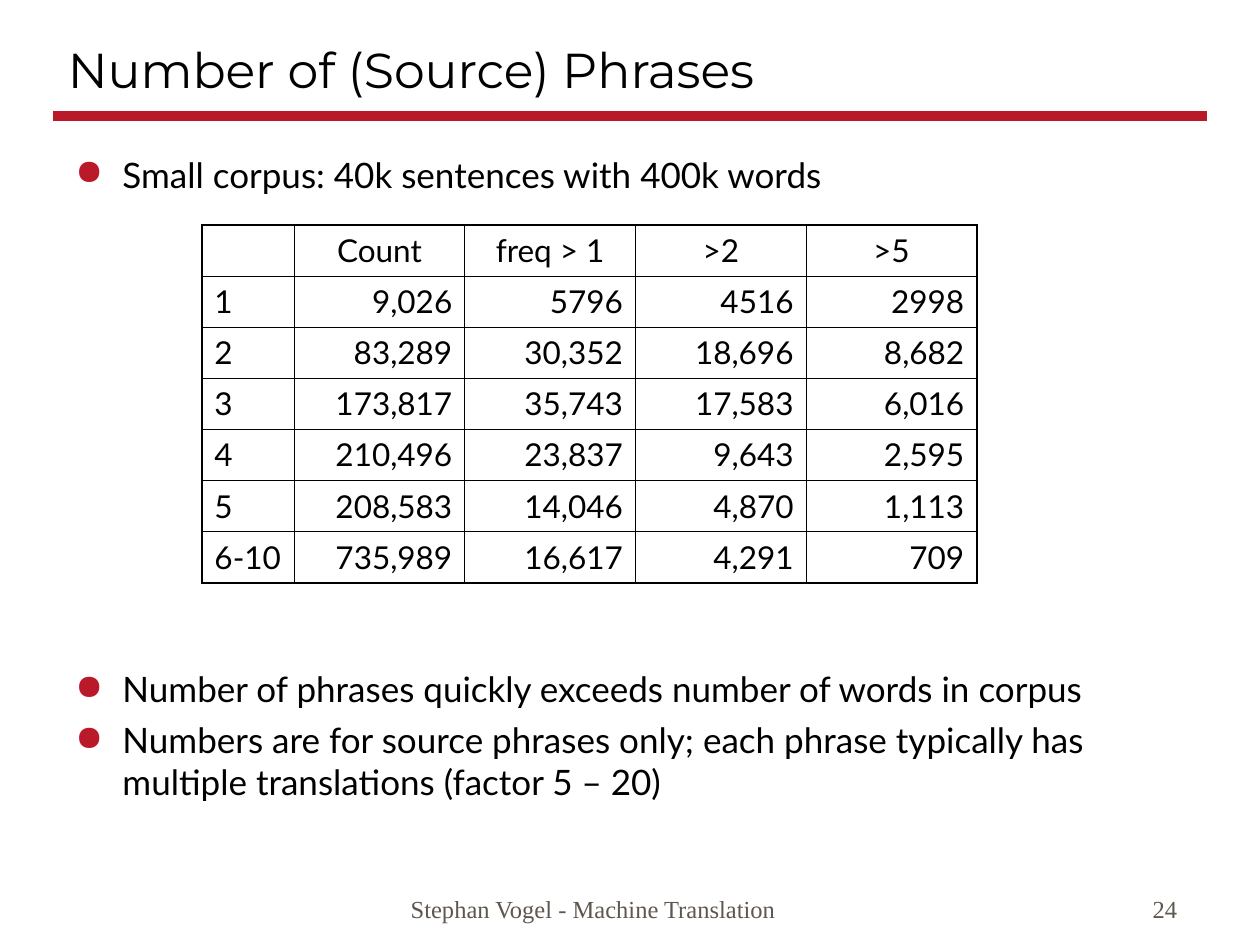
from lxml.etree import SubElement
from pptx import Presentation
from pptx.dml.color import RGBColor
from pptx.enum.shapes import MSO_CONNECTOR as Connector
from pptx.enum.text import MSO_ANCHOR as Anchor, PP_ALIGN as Align
from pptx.oxml.ns import qn
from pptx.util import Cm, Pt

BLACK, RED, GREY = "000000", "B91928", "5E574E"


def color(value):
    return RGBColor.from_string(value)


class SlideBuilder:
    title_font, body_font, footer_font = "Montserrat", "Lato", "Times New Roman"
    bullet_indent = 0.95
    thick, thin = 1.08, 0.45

    def __init__(self, slide):
        self.slide = slide

    def style(self, paragraph, font, size, ink=BLACK, align=Align.LEFT):
        paragraph.alignment = align
        paragraph.font.name = font
        paragraph.font.size = Pt(size)
        paragraph.font.color.rgb = color(ink)

    def frame(self, left, top, width, height, anchor):
        box = self.slide.shapes.add_textbox(Cm(left), Cm(top), Cm(width), Cm(height))
        box.text_frame.word_wrap = True
        box.text_frame.vertical_anchor = anchor
        return box.text_frame

    def label(self, text, place, font, size, ink=BLACK, align=Align.LEFT):
        paragraph = self.frame(*place, Anchor.BOTTOM).paragraphs[0]
        paragraph.text = text
        self.style(paragraph, font, size, ink, align)

    def bullets(self, items, place):
        body = self.frame(*place, Anchor.TOP)
        for index, item in enumerate(items):
            paragraph = body.add_paragraph() if index else body.paragraphs[0]
            paragraph.text = item
            if index:
                paragraph.space_before = Pt(5)
            props = paragraph._p.get_or_add_pPr()
            props.set("marL", str(Cm(self.bullet_indent)))
            props.set("indent", str(-Cm(self.bullet_indent)))
            SubElement(SubElement(props, qn("a:buClr")), qn("a:srgbClr"), val=RED)
            SubElement(props, qn("a:buChar"), char="●")
            self.style(paragraph, self.body_font, 20)

    def rule(self, left, right, y, width, ink):
        line = self.slide.shapes.add_connector(
            Connector.STRAIGHT, Cm(left), Cm(y), Cm(right), Cm(y))
        line.line.color.rgb = color(ink)
        line.line.width = Pt(width)
        SubElement(line._element.spPr, qn("a:effectLst"))

    def borders(self, cell, outer_sides):
        props = cell._tc.get_or_add_tcPr()
        for side in "LRTB":
            width = self.thick if side in outer_sides else self.thin
            edge = SubElement(props, qn(f"a:ln{side}"), w=str(Pt(width)))
            SubElement(SubElement(edge, qn("a:solidFill")), qn("a:srgbClr"), val=BLACK)

    def table(self, rows, left, top, widths, row_height):
        grid = self.slide.shapes.add_table(
            len(rows), len(widths), Cm(left), Cm(top),
            Cm(sum(widths)), Cm(row_height * len(rows))).table
        grid.first_row = grid.horz_banding = False
        for column, width in zip(grid.columns, widths):
            column.width = Cm(width)
        last_row, last_column = len(rows) - 1, len(widths) - 1
        for r, values in enumerate(rows):
            grid.rows[r].height = Cm(row_height)
            for c, value in enumerate(values):
                cell = grid.cell(r, c)
                outer = {"T": r == 0, "B": r == last_row,
                         "L": c == 0, "R": c == last_column}
                self.borders(cell, [side for side, on in outer.items() if on])
                cell.fill.background()
                cell.text = value
                align = Align.CENTER if r == 0 else Align.RIGHT if c else Align.LEFT
                self.style(cell.text_frame.paragraphs[0], self.body_font, 18, align=align)


def main():
    deck = Presentation()
    deck.slide_width, deck.slide_height = Cm(25.4), Cm(19.05)
    page = SlideBuilder(deck.slides.add_slide(deck.slide_layouts[6]))

    # Title and rule
    page.rule(1.07, 24.33, 2.34, 6, RED)
    page.label("Number of (Source) Phrases", (1.12, 0.64, 21.59, 1.47),
               page.title_font, 28)

    # Corpus and phrase counts by phrase length
    page.bullets(["Small corpus: 40k sentences with 400k words"],
                 (1.27, 2.97, 22.02, 2.26))
    phrase_counts = [
        ["", "Count", "freq > 1", ">2", ">5"],
        ["1", "9,026", "5796", "4516", "2998"],
        ["2", "83,289", "30,352", "18,696", "8,682"],
        ["3", "173,817", "35,743", "17,583", "6,016"],
        ["4", "210,496", "23,837", "9,643", "2,595"],
        ["5", "208,583", "14,046", "4,870", "1,113"],
        ["6-10", "735,989", "16,617", "4,291", "709"],
    ]
    page.table(phrase_counts, 4.07, 4.54, [1.86] + [3.44] * 4, 1.03)

    # Conclusions
    page.bullets([
        "Number of phrases quickly exceeds number of words in corpus",
        "Numbers are for source phrases only; each phrase typically has "
        "multiple translations (factor 5 – 20)",
    ], (1.27, 13.34, 22.02, 4.45))

    # Footer
    page.label("Stephan Vogel - Machine Translation", (8.03, 17.48, 12.5, 1.27),
               page.footer_font, 14, GREY)
    page.label("24", (20.96, 17.48, 3.02, 1.27), page.footer_font, 14, GREY, Align.RIGHT)

    deck.save("out.pptx")


if __name__ == "__main__":
    main()
